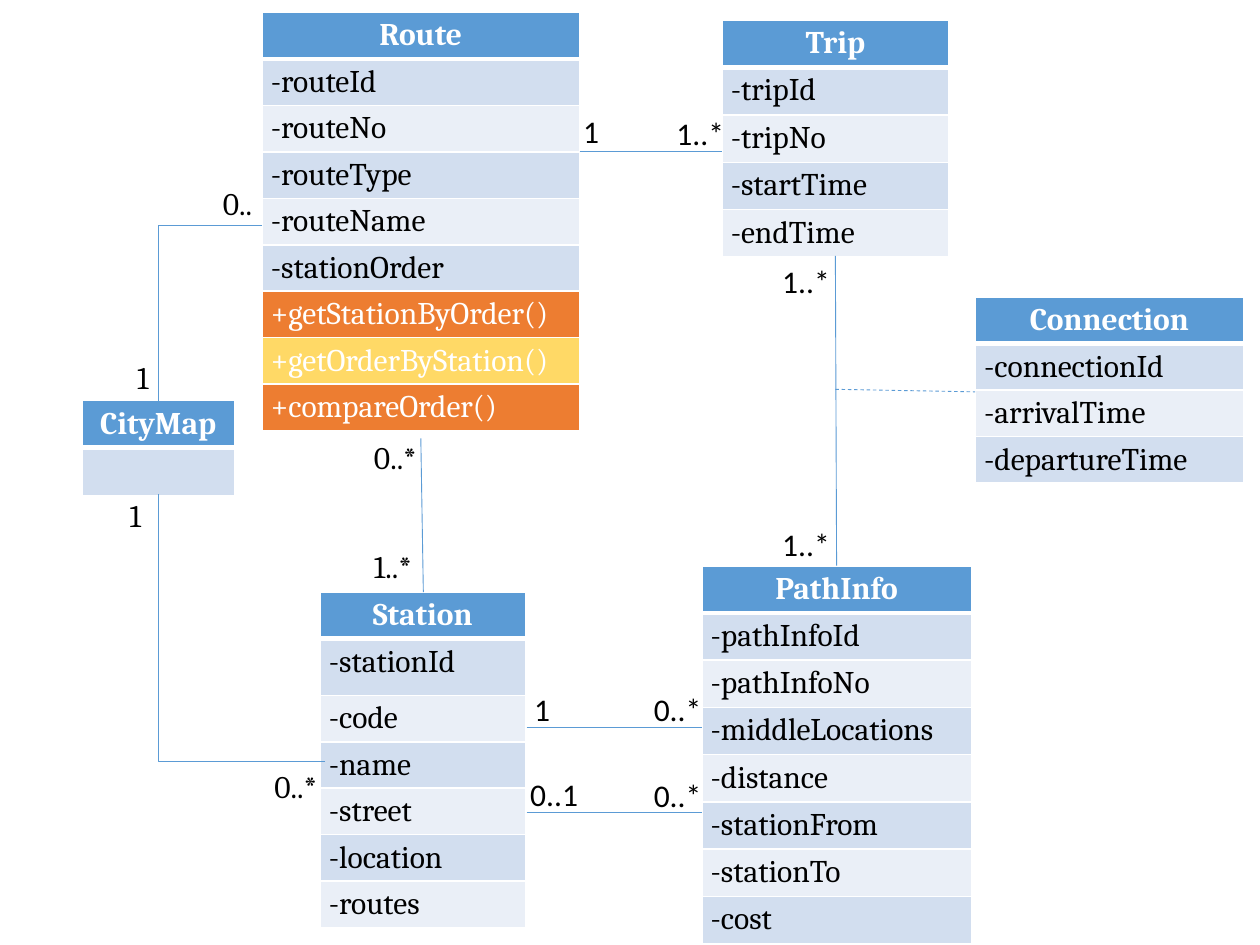
from lxml import etree
from pptx import Presentation
from pptx import util as u
from pptx.dml.color import RGBColor
from pptx.enum import dml, shapes, text
from pptx.oxml import ns

BLUE = RGBColor(0x5B, 0x9B, 0xD5)
PALE = RGBColor(0xD2, 0xDE, 0xEF)
LIGHT = RGBColor(0xEA, 0xEF, 0xF7)
ORANGE = RGBColor(0xED, 0x7D, 0x31)
GOLD = RGBColor(0xFF, 0xD9, 0x66)
WHITE = RGBColor(0xFF, 0xFF, 0xFF)
BLACK = RGBColor(0, 0, 0)
SERIF, SANS = "Cambria", "Calibri"

# name, left, top, width, height, {row: fixed height}, members
CLASSES = [
    ("Route", 2.08, 0.1, 2.52, 3.28, {},
     ["-routeId", "-routeNo", "-routeType", "-routeName", "-stationOrder",
      "+getStationByOrder()", "+getOrderByStation()", "+compareOrder()"]),
    ("Connection", 7.74, 2.36, 2.13, 1.45, {},
     ["-connectionId", "-arrivalTime", "-departureTime"]),
    ("Station", 2.54, 4.7, 1.63, 2.63, {1: 0.45},
     ["-stationId", "-code", "-name", "-street", "-location", "-routes"]),
    ("Trip", 5.73, 0.16, 1.8, 1.88, {},
     ["-tripId", "-tripNo", "-startTime", "-endTime"]),
    ("CityMap", 0.65, 3.18, 1.21, 0.74, {}, [""]),
    ("PathInfo", 5.57, 4.49, 2.14, 3, {},
     ["-pathInfoId", "-pathInfoNo", "-middleLocations", "-distance",
      "-stationFrom", "-stationTo", "-cost"]),
]
LINKS = [
    (4.6, 1.2, 5.73, 1.2, "solid"),
    (4.18, 5.77, 5.57, 5.77, "solid"),
    (4.18, 6.45, 5.57, 6.45, "solid"),
    (6.63, 2.03, 6.64, 4.49, "solid"),
    (3.34, 3.48, 3.36, 4.7, "solid"),
    (6.63, 3.09, 7.74, 3.11, "dash"),
    (2.08, 1.79, 1.26, 3.18, "bent"),
    (2.58, 6.04, 1.26, 3.92, "bent"),
]
LABELS = [
    ("1", 4.14, 5.43, 0.33, SANS), ("0..1", 4.11, 6.1, 0.58, SANS),
    ("1..*", 6.11, 2.03, 0.58, SANS), ("1", 4.53, 0.84, 0.33, SANS),
    ("1..*", 5.27, 0.86, 0.58, SANS), ("0..*", 2.87, 3.43, 0.56, SERIF),
    ("1..*", 2.87, 4.29, 0.56, SERIF), ("0..", 1.67, 1.41, 0.46, SERIF),
    ("1", 0.99, 2.79, 0.34, SERIF), ("0..*", 2.08, 6.04, 0.56, SERIF),
    ("1", 0.93, 3.89, 0.34, SERIF), ("0..*", 5.09, 5.43, 0.58, SANS),
    ("0..*", 5.09, 6.11, 0.58, SANS), ("1..*", 6.11, 4.12, 0.58, SANS),
]


def write(frame, words, font=SERIF, color=BLACK, bold=False, align=None):
    para = frame.paragraphs[0]
    para.alignment = align
    para.font.size = u.Pt(18)
    if not words:
        return
    run = para.add_run()
    run.text = words
    run.font.name, run.font.size = font, u.Pt(18)
    run.font.bold = bold
    run.font.color.rgb = color


def edge(cell, row):
    props = cell._tc.get_or_add_tcPr()
    wide = {"T": 3 if row == 1 else 1, "B": 3 if row == 0 else 1}
    for side in "LRTB":
        line = etree.SubElement(props, ns.qn("a:ln" + side),
                                w=str(u.Pt(wide.get(side, 1))))
        fill = etree.SubElement(line, ns.qn("a:solidFill"))
        etree.SubElement(fill, ns.qn("a:srgbClr"), val=str(WHITE))


def shade(row, words):
    if row == 0:
        return BLUE
    if words.startswith("+"):
        return ORANGE if row % 2 == 0 else GOLD
    return PALE if row % 2 else LIGHT


def draw_class(slide, name, left, top, width, height, fixed, members):
    rows = [name] + members
    table = slide.shapes.add_table(
        len(rows), 1, *map(u.Inches, (left, top, width, height))).table
    share = (height - sum(fixed.values())) / (len(rows) - len(fixed))
    for row, words in enumerate(rows):
        table.rows[row].height = u.Inches(fixed.get(row, share))
        cell = table.cell(row, 0)
        cell.margin_left = cell.margin_right = u.Inches(0.07)
        cell.margin_top = cell.margin_bottom = u.Inches(0.04)
        edge(cell, row)
        cell.fill.solid()
        cell.fill.fore_color.rgb = shade(row, words)
        head = row == 0
        write(cell.text_frame, words, bold=head,
              color=WHITE if head or words.startswith("+") else BLACK,
              align=text.PP_ALIGN.CENTER if head else None)


def draw_link(slide, x1, y1, x2, y2, style):
    link = slide.shapes.add_connector(
        shapes.MSO_CONNECTOR.STRAIGHT, *map(u.Inches, (x1, y1, x2, y2)))
    props = link._element.spPr
    if style == "bent":
        props.find(ns.qn("a:prstGeom")).set("prst", "bentConnector2")
    link.line.color.rgb = BLUE
    link.line.width = u.Pt(0.5)
    if style == "dash":
        link.line.dash_style = dml.MSO_LINE.DASH
    etree.SubElement(props, ns.qn("a:effectLst"))


def draw_label(slide, words, left, top, width, font):
    box = slide.shapes.add_textbox(*map(u.Inches, (left, top, width, 0.4)))
    box.text_frame.word_wrap = False
    box.text_frame.auto_size = text.MSO_AUTO_SIZE.SHAPE_TO_FIT_TEXT
    write(box.text_frame, words, font=font)


def main():
    deck = Presentation()
    deck.slide_width, deck.slide_height = u.Inches(10), u.Inches(7.5)
    slide = deck.slides.add_slide(deck.slide_layouts[6])
    for draw, items in ((draw_class, CLASSES), (draw_link, LINKS),
                        (draw_label, LABELS)):
        for item in items:
            draw(slide, *item)
    deck.save("out.pptx")


if __name__ == "__main__":
    main()
